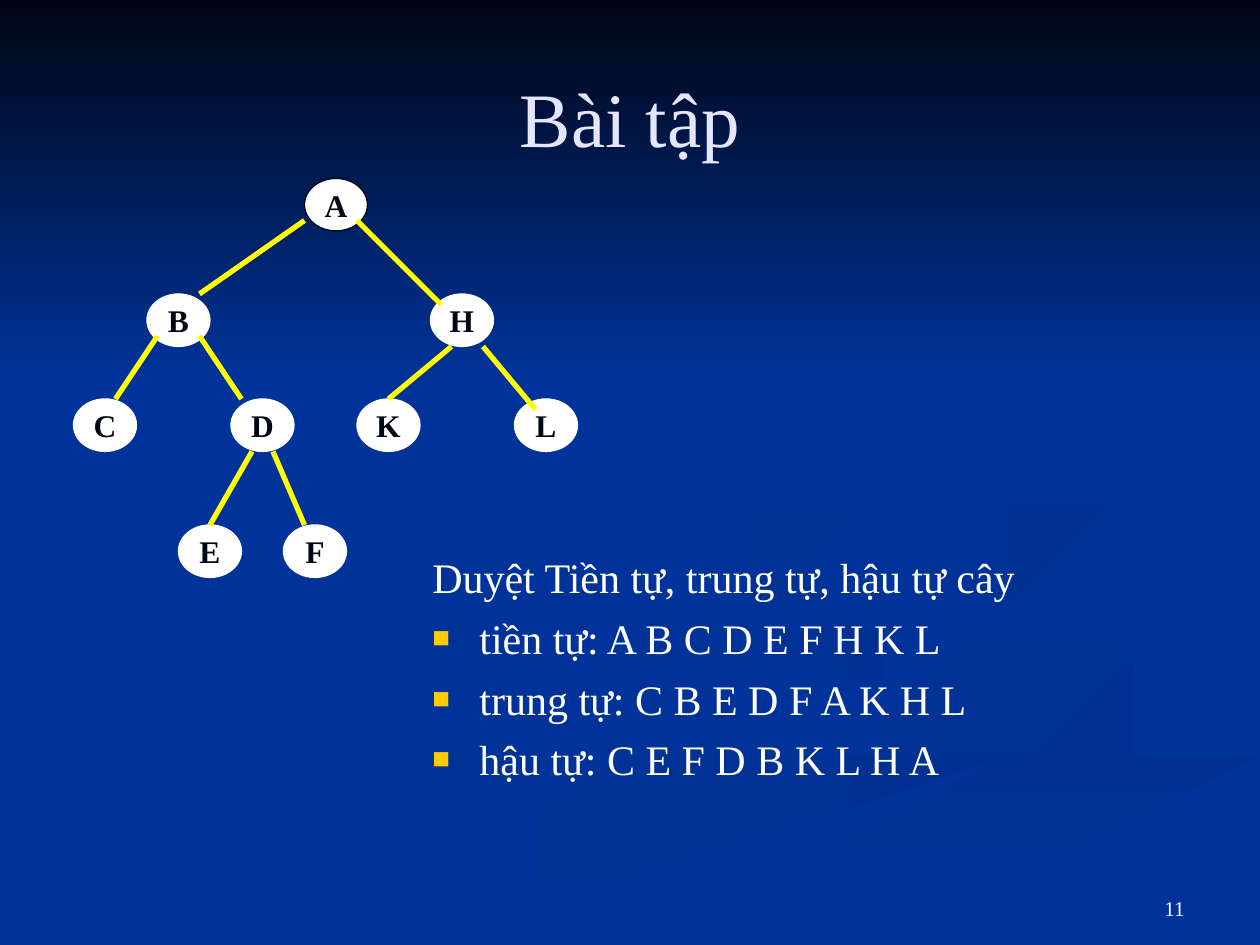
import pptx
import pptx.dml.color
import pptx.enum.shapes
import pptx.enum.text
import pptx.oxml.ns
import pptx.util
from lxml import etree
from pptx.util import Cm, Pt

RGBColor = pptx.dml.color.RGBColor
Align = pptx.enum.text.PP_ALIGN
Anchor = pptx.enum.text.MSO_ANCHOR
qn = pptx.oxml.ns.qn

BLUE = RGBColor(0x00, 0x33, 0x99)
SWIRL_BLUE = RGBColor(0x00, 0x30, 0x91)
NIGHT = RGBColor(0x00, 0x05, 0x14)
LAVENDER = RGBColor(0xE5, 0xE5, 0xFF)
WHITE = RGBColor(0xFF, 0xFF, 0xFF)
YELLOW = RGBColor(0xFF, 0xFF, 0x00)
GOLD = RGBColor(0xFF, 0xCC, 0x00)
FONT = "Times New Roman"

INCH = Cm(2.54)
GRID = INCH // 12  # the tree sits on a grid of twelve steps to the inch

# Outlines in inches: points, first colour, last colour, clockwise angle
SWIRLS = [
    ([(7.8, 5.53), (6.4, 5.07), (5.75, 4.6), (5.86, 4.87), (7.28, 5.35), (7.85, 5.65),
      (7.27, 6.02), (5.4, 6.49), (3, 7.49), (3.61, 7.49), (5, 6.87), (7.56, 6.14),
      (8, 5.81)], BLUE, SWIRL_BLUE, 0),
    ([(9.43, 5.7), (9.05, 5.4), (7.58, 4.98), (7.24, 4.64), (7.46, 5), (8.68, 5.44),
      (9.18, 5.81), (8.94, 6.05), (9.37, 5.86)], BLUE, SWIRL_BLUE, 45),
    ([(5.03, 7.49), (5.71, 7.49), (6.95, 6.92), (8.21, 6.51), (9.98, 6.09), (9.98, 5.81),
      (9.36, 6.02), (7.64, 6.47), (6.3, 6.93)], SWIRL_BLUE, BLUE, 90),
    ([(7.81, 4.6), (8.26, 4.96), (8.05, 4.72), (8.59, 4.43), (9.98, 4.2), (9.98, 4.02),
      (8.35, 4.3)], SWIRL_BLUE, BLUE, 45),
    ([(6.83, 4.3), (8.25, 4.02), (8.83, 3.7), (8.94, 3.44), (8.64, 2.91), (7.62, 2.33),
      (8.46, 2.79), (8.89, 3.35), (8.61, 3.7), (6.49, 4.2), (5.77, 4.62), (6.22, 5),
      (5.93, 4.7)], SWIRL_BLUE, BLUE, 45),
    ([(0, 0), (0, 3.08), (10, 3.08), (10, 0)], NIGHT, BLUE, 90),
]

# Tree in grid steps
NODES = {"A": (29, 17), "B": (14, 28), "H": (41, 28), "C": (7, 38), "D": (22, 38),
         "K": (34, 38), "L": (49, 38), "E": (17, 50), "F": (27, 50)}
EDGES = [(29, 21, 19, 28), (34, 21, 42, 29), (15, 32, 11, 38), (19, 32, 23, 38),
         (43, 33, 37, 38), (46, 33, 51, 39), (24, 43, 20, 50), (26, 43, 29, 50)]

TRAVERSALS = ["Duyệt Tiền tự, trung tự, hậu tự cây", "tiền tự: A B C D E F H K L",
              "trung tự: C B E D F A K H L", "hậu tự: C E F D B K L H A"]


def format_text(paragraph, size, color, bold=False, align=None):
    paragraph.alignment = align
    for run in paragraph.runs:
        run.font.name = FONT
        run.font.size = Pt(size)
        run.font.bold = bold
        run.font.color.rgb = color


def place(shape, left, top, width, height):
    shape.left, shape.top = Cm(left), Cm(top)
    shape.width, shape.height = Cm(width), Cm(height)


def add_swirl(slide, points, first, last, angle):
    builder = slide.shapes.build_freeform(*points[0], scale=INCH)
    builder.add_line_segments(points[1:], close=True)
    shape = builder.convert_to_shape()
    shape.shadow.inherit = False
    shape.line.fill.background()
    shape.fill.gradient()
    shape.fill.gradient_angle = (360 - angle) % 360
    for stop, color in zip(shape.fill.gradient_stops, (first, last)):
        stop.color.rgb = color


def add_node(slide, label, column, row):
    shape = slide.shapes.add_shape(pptx.enum.shapes.MSO_SHAPE.OVAL, column * GRID,
                                   row * GRID, 6 * GRID, 5 * GRID)
    shape.shadow.inherit = False
    shape.fill.solid()
    shape.fill.fore_color.rgb = WHITE
    shape.line.color.rgb = NIGHT if label == "A" else WHITE
    shape.line.width = Pt(0.75)
    text_frame = shape.text_frame
    text_frame.text = label
    text_frame.word_wrap = False
    text_frame.vertical_anchor = Anchor.MIDDLE
    format_text(text_frame.paragraphs[0], 18, NIGHT, True, Align.CENTER)


def add_edge(slide, edge):
    connector = slide.shapes.add_connector(pptx.enum.shapes.MSO_CONNECTOR.STRAIGHT,
                                           *(step * GRID for step in edge))
    connector.line.color.rgb = YELLOW
    connector.line.width = Pt(3)
    etree.SubElement(connector._element.spPr, qn("a:effectLst"))


def set_bullet(paragraph, bulleted):
    properties = paragraph._p.get_or_add_pPr()
    properties.set("marL", str(Cm(0.95)))
    properties.set("indent", str(-Cm(0.95)))
    if not bulleted:
        etree.SubElement(properties, qn("a:buNone"))
        return
    color = etree.SubElement(properties, qn("a:buClr"))
    etree.SubElement(color, qn("a:srgbClr"), val=str(GOLD))
    etree.SubElement(properties, qn("a:buSzPct"), val="70000")
    etree.SubElement(properties, qn("a:buFont"), typeface=FONT)
    etree.SubElement(properties, qn("a:buChar"), char="■")


def fill_title(title):
    place(title, 1.27, 0.76, 22.86, 3.18)
    title.text_frame.text = "Bài tập"
    title.text_frame.vertical_anchor = Anchor.MIDDLE
    format_text(title.text_frame.paragraphs[0], 44, LAVENDER, align=Align.CENTER)


def fill_traversals(body):
    place(body, 8.46, 11, 16.08, 6)
    text_frame = body.text_frame
    text_frame.text = "\n".join(TRAVERSALS)
    text_frame.auto_size = pptx.enum.text.MSO_AUTO_SIZE.NONE
    for index, paragraph in enumerate(text_frame.paragraphs):
        set_bullet(paragraph, index > 0)
        paragraph.space_before = Pt(5.8 if index else 0)
        format_text(paragraph, 24, WHITE, align=Align.LEFT)


def add_slide_number(slide):
    box = slide.shapes.add_textbox(Cm(18.2), Cm(17.36), Cm(5.93), Cm(1.32))
    box.text_frame.text = "11"
    box.text_frame.word_wrap = True
    box.text_frame.vertical_anchor = Anchor.BOTTOM
    format_text(box.text_frame.paragraphs[0], 12, WHITE, align=Align.RIGHT)


def main():
    presentation = pptx.Presentation()
    presentation.slide_width, presentation.slide_height = Cm(25.4), Cm(19.05)
    slide = presentation.slides.add_slide(presentation.slide_layouts[1])
    slide.background.fill.solid()
    slide.background.fill.fore_color.rgb = BLUE
    title, body = slide.placeholders
    for swirl in SWIRLS:
        add_swirl(slide, *swirl)
    for placeholder in (title, body):  # bring the text in front of the swirls
        slide.shapes._spTree.append(placeholder._element)
    fill_title(title)
    fill_traversals(body)
    add_slide_number(slide)
    for label, (column, row) in NODES.items():
        add_node(slide, label, column, row)
    for edge in EDGES:
        add_edge(slide, edge)
    presentation.save("out.pptx")


if __name__ == "__main__":
    main()
